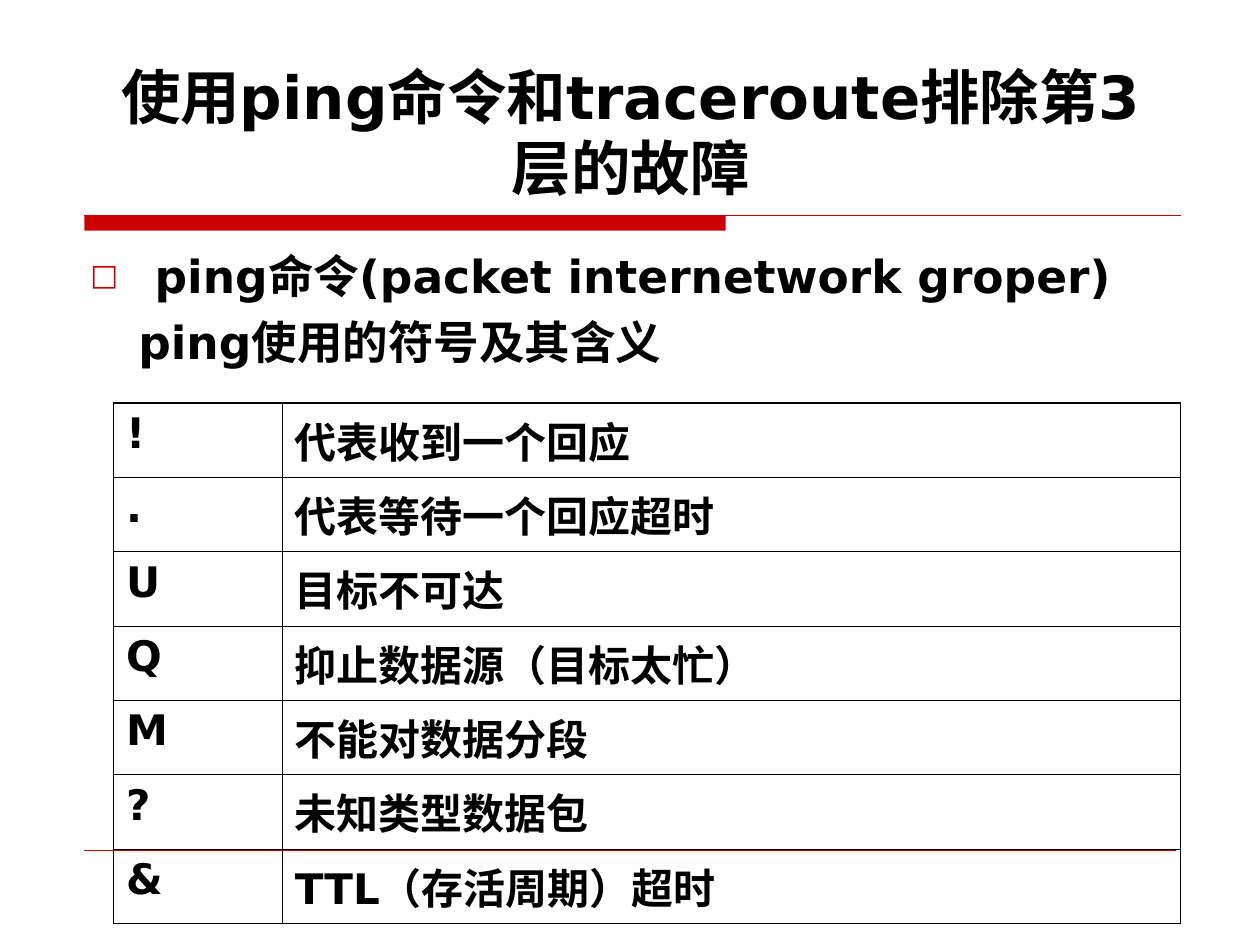
from lxml import etree
from pptx import Presentation
from pptx.dml.color import RGBColor
from pptx.enum.lang import MSO_LANGUAGE_ID as Lang
from pptx.enum.shapes import MSO_CONNECTOR as Conn, MSO_SHAPE as Shape
from pptx.enum.text import MSO_ANCHOR as Anchor, PP_ALIGN as Align
from pptx.oxml.ns import qn
from pptx.util import Inches, Pt

RED = RGBColor(0xCC, 0x00, 0x00)
BLACK = RGBColor(0x00, 0x00, 0x00)
FONT = "DejaVu Sans"


def write(para, text, size, align=Align.LEFT, before=0, left=0, mark=None):
    para.alignment = align
    para.space_before = Pt(before)
    props = para._p.get_or_add_pPr()
    props.set("marL", str(Inches(left)))
    props.set("indent", str(Inches(-left if mark else 0)))
    if mark:
        color = etree.SubElement(props, qn("a:buClr"))
        etree.SubElement(color, qn("a:srgbClr"), val=str(RED))
        etree.SubElement(props, qn("a:buSzPct"), val="65000")
        etree.SubElement(props, qn("a:buFont"), typeface=FONT)
        etree.SubElement(props, qn("a:buChar"), char=mark)
    run = para.add_run()
    run.text = text
    font = run.font
    font.name, font.size, font.bold = FONT, Pt(size), True
    font.color.rgb = BLACK
    font.language_id = Lang.SIMPLIFIED_CHINESE


def edge(cell, side, width):
    props = cell._tc.get_or_add_tcPr()
    line = etree.SubElement(props, qn(f"a:ln{side}"), w=str(Pt(width)))
    fill = etree.SubElement(line, qn("a:solidFill"))
    etree.SubElement(fill, qn("a:srgbClr"), val=str(BLACK))


deck = Presentation()
deck.slide_width, deck.slide_height = Inches(10), Inches(7.5)
slide = deck.slides.add_slide(deck.slide_layouts[6])
shapes = slide.shapes

bar = shapes.add_shape(Shape.RECTANGLE, Inches(0.67), Inches(1.71), Inches(5.09), Inches(0.12))
bar.shadow.inherit = False
bar.fill.solid()
bar.fill.fore_color.rgb = RED
bar.line.fill.background()

for y, end, width in [(1.71, 9.37, 0.75), (6.75, 9.33, 0.25)]:
    rule = shapes.add_connector(Conn.STRAIGHT, Inches(0.67), Inches(y), Inches(end), Inches(y))
    rule.line.color.rgb = RED
    rule.line.width = Pt(width)
    etree.SubElement(rule._element.spPr, qn("a:effectLst"))

title = shapes.add_textbox(Inches(0.63), Inches(0.33), Inches(8.75), Inches(1.33)).text_frame
title.word_wrap = True
title.vertical_anchor = Anchor.BOTTOM
write(title.paragraphs[0], "使用ping命令和traceroute排除第3层的故障", 34, align=Align.CENTER)

body = shapes.add_textbox(Inches(0.62), Inches(1.92), Inches(8.87), Inches(2.31)).text_frame
body.word_wrap = True
write(body.paragraphs[0], "ping命令(packet internetwork groper)", 26, left=0.51, mark="□")
write(body.add_paragraph(), "ping使用的符号及其含义", 26, before=6.5, left=0.38)

codes = [
    ("!", "代表收到一个回应"),
    (".", "代表等待一个回应超时"),
    ("U", "目标不可达"),
    ("Q", "抑止数据源（目标太忙）"),
    ("M", "不能对数据分段"),
    ("?", "未知类型数据包"),
    ("&", "TTL（存活周期）超时"),
]
last = len(codes) - 1
high = Inches(0.59)
table = shapes.add_table(len(codes), 2, Inches(0.9), Inches(3.2), Inches(8.47), high * len(codes)).table
table.first_row = table.horz_banding = False
table.columns[0].width, table.columns[1].width = Inches(1.34), Inches(7.13)
for r, pair in enumerate(codes):
    table.rows[r].height = high
    for c, text in enumerate(pair):
        cell = table.cell(r, c)
        write(cell.text_frame.paragraphs[0], text, 24)
        outer = {"L": c == 0, "R": c == 1, "T": r == 0, "B": r == last}
        for side, thick in outer.items():
            edge(cell, side, 1.08 if thick else 0.45)
        cell.fill.background()

deck.save("out.pptx")
